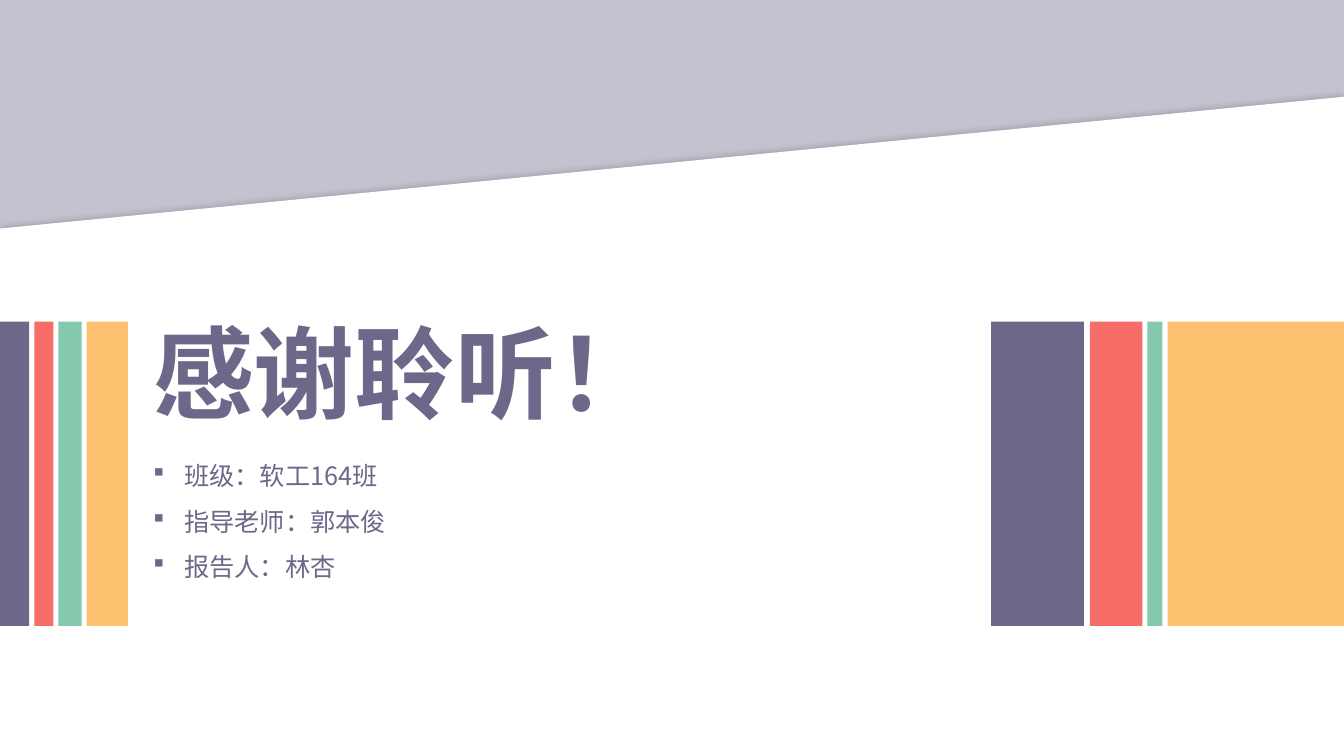
from dataclasses import dataclass

from lxml import etree
from pptx import Presentation
from pptx import util as u
from pptx.dml.color import RGBColor
from pptx.enum import shapes, text
from pptx.oxml import ns

PX = 9144  # EMU per px, 100 px to the inch


@dataclass(frozen=True)
class Theme:
    purple: str = "6B6889"
    coral: str = "F76D68"
    green: str = "84C8AE"
    amber: str = "FDC170"
    white: str = "FFFFFF"
    shadow: str = "000000"
    font: str = "Noto Sans CJK SC"
    bullet_font: str = "Wingdings"
    title_size: int = 72
    detail_size: int = 18


THEME = Theme()
WIDTH, HEIGHT = 1333, 750
STRIPE_TOP, STRIPE_HEIGHT = 319, 302
STRIPE_COLOURS = (THEME.purple, THEME.coral, THEME.green, THEME.amber)
DETAILS = ("班级：软工164班", "指导老师：郭本俊", "报告人：林杏")


def px(*lengths):
    return [u.Emu(length * PX) for length in lengths]


def add_child(parent, tag, **attributes):
    child = etree.SubElement(parent, ns.qn(tag))
    for name, value in attributes.items():
        child.set(name, str(value))
    return child


def add_block(parent, box, colour, kind=shapes.MSO_SHAPE.RECTANGLE):
    shape = parent.shapes.add_shape(kind, *px(*box))
    shape.shadow.inherit = False
    shape.fill.solid()
    shape.fill.fore_color.rgb = RGBColor.from_string(colour)
    shape.line.fill.background()
    return shape


def set_opacity(shape, percent):
    colour = shape._element.spPr.find(".//" + ns.qn("a:srgbClr"))
    add_child(colour, "a:alpha", val=percent * 1000)


def add_soft_shadow(shape, blur, percent):
    effects = shape._element.spPr.find(ns.qn("a:effectLst"))
    shadow = add_child(effects, "a:outerShdw", blurRad=u.Pt(blur),
                       dist=0, dir=0, algn="ctr", rotWithShape=0)
    colour = add_child(shadow, "a:srgbClr", val=THEME.shadow)
    add_child(colour, "a:alpha", val=percent * 1000)


def add_stripes(slide, spans):
    group = slide.shapes.add_group_shape()
    for (left, width), colour in zip(spans, STRIPE_COLOURS):
        add_block(group, (left, STRIPE_TOP, width, STRIPE_HEIGHT), colour)


def add_text(slide, box, content, size, bold=False, wrap=True):
    frame = slide.shapes.add_textbox(*px(*box)).text_frame
    frame.word_wrap = wrap
    frame.auto_size = text.MSO_AUTO_SIZE.SHAPE_TO_FIT_TEXT
    frame.text = content
    for paragraph in frame.paragraphs:
        for run in paragraph.runs:
            font = run.font
            font.size, font.bold, font.name = u.Pt(size), bold, THEME.font
            font.color.rgb = RGBColor.from_string(THEME.purple)
            add_child(run._r.get_or_add_rPr(), "a:ea", typeface=THEME.font)
    return frame


def add_square_bullets(frame, indent):
    for paragraph in frame.paragraphs:
        paragraph.line_spacing = 1.5
        properties = paragraph._p.get_or_add_pPr()
        properties.set("marL", str(indent * PX))
        properties.set("indent", str(-indent * PX))
        add_child(properties, "a:buFont", typeface=THEME.bullet_font,
                  pitchFamily=2, charset=2)
        add_child(properties, "a:buChar", char="§")  # square in Wingdings


def main():
    presentation = Presentation()
    presentation.slide_width, presentation.slide_height = px(WIDTH, HEIGHT)
    slide = presentation.slides.add_slide(presentation.slide_layouts[6])

    # Tinted backdrop and slanted white sheet
    backdrop = add_block(slide, (0, 0, WIDTH, HEIGHT), THEME.purple)
    set_opacity(backdrop, 40)
    sheet = add_block(slide, (0, 96, WIDTH, HEIGHT - 96), THEME.white,
                      shapes.MSO_SHAPE.FLOWCHART_MANUAL_INPUT)
    add_soft_shadow(sheet, blur=5, percent=20)

    # Closing title
    add_text(slide, (142, 303, 525, 131), "感谢聆听！", THEME.title_size,
             bold=True, wrap=False)

    # Left stripes, details, right stripes
    add_stripes(slide, ((0, 29), (34, 19), (58, 23), (86, 41)))
    details = add_text(slide, (142, 437, 802, 141), "\n".join(DETAILS),
                       THEME.detail_size)
    add_square_bullets(details, indent=31)
    add_stripes(slide, ((983, 92), (1081, 52), (1138, 15), (1158, 175)))

    presentation.save("out.pptx")


if __name__ == "__main__":
    main()
